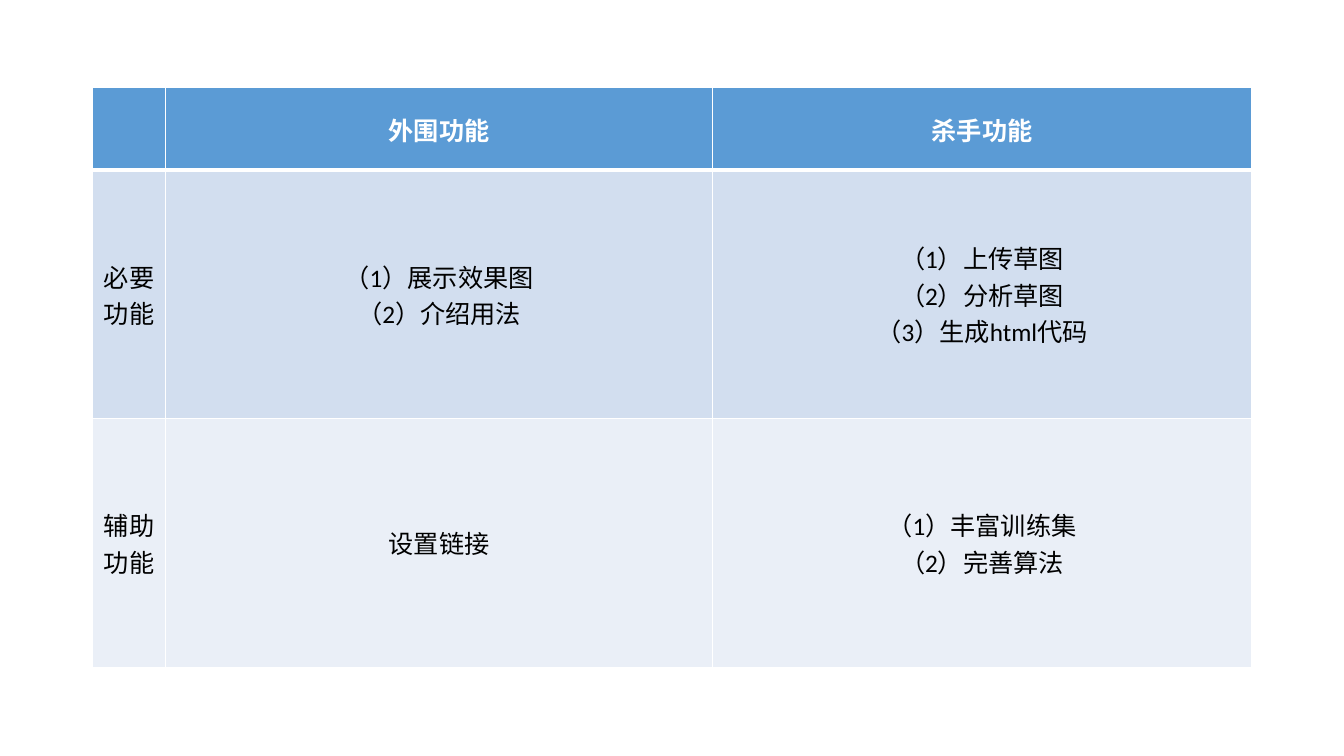
"""Build a slide with a table of necessary and auxiliary functions."""
from lxml.etree import SubElement
from pptx import Presentation
from pptx.dml.color import RGBColor
from pptx.enum.text import MSO_ANCHOR, PP_ALIGN
from pptx.oxml.ns import qn
from pptx.util import Inches, Pt

ROWS = [
    [[], ["外围功能"], ["杀手功能"]],
    [["必要功能"], ["（1）展示效果图", "（2）介绍用法"],
     ["（1）上传草图", "（2）分析草图", "（3）生成html代码"]],
    [["辅助功能"], ["设置链接"], ["（1）丰富训练集", "（2）完善算法"]],
]
COLUMN_WIDTHS = [0.72, 5.43, 5.34]
ROW_HEIGHTS = [0.82, 2.46, 2.47]
LEFT, TOP = 0.92, 0.87

WHITE = RGBColor(0xFF, 0xFF, 0xFF)
BLACK = RGBColor(0x00, 0x00, 0x00)
ROW_FILLS = [RGBColor(0x5B, 0x9B, 0xD5), RGBColor(0xD2, 0xDE, 0xEF), RGBColor(0xEA, 0xEF, 0xF7)]
FONT = "Calibri"


def add_borders(cell, top_width, bottom_width):
    properties = cell._tc.get_or_add_tcPr()
    widths = {"a:lnL": 1, "a:lnR": 1, "a:lnT": top_width, "a:lnB": bottom_width}
    for tag, width in widths.items():
        line = SubElement(properties, qn(tag), w=str(Pt(width)))
        fill = SubElement(line, qn("a:solidFill"))
        SubElement(fill, qn("a:srgbClr"), val=str(WHITE))


def fill_cell(cell, lines, row_index):
    is_header = row_index == 0
    add_borders(cell, 3 if row_index == 1 else 1, 3 if is_header else 1)
    cell.fill.solid()
    cell.fill.fore_color.rgb = ROW_FILLS[row_index]
    cell.vertical_anchor = MSO_ANCHOR.MIDDLE
    text_frame = cell.text_frame
    for index, line in enumerate(lines):
        paragraph = text_frame.add_paragraph() if index else text_frame.paragraphs[0]
        paragraph.alignment = PP_ALIGN.CENTER
        run = paragraph.add_run()
        run.text = line
        run.font.name = FONT
        run.font.size = Pt(18)
        run.font.bold = is_header
        run.font.color.rgb = WHITE if is_header else BLACK


presentation = Presentation()
presentation.slide_width = Inches(13.33)
presentation.slide_height = Inches(7.5)
slide = presentation.slides.add_slide(presentation.slide_layouts[6])

table = slide.shapes.add_table(
    len(ROWS), len(COLUMN_WIDTHS), Inches(LEFT), Inches(TOP),
    Inches(sum(COLUMN_WIDTHS)), Inches(sum(ROW_HEIGHTS))).table
for column, width in zip(table.columns, COLUMN_WIDTHS):
    column.width = Inches(width)
for row_index, (row, height, contents) in enumerate(zip(table.rows, ROW_HEIGHTS, ROWS)):
    row.height = Inches(height)
    for cell, lines in zip(row.cells, contents):
        fill_cell(cell, lines, row_index)

presentation.save("out.pptx")
